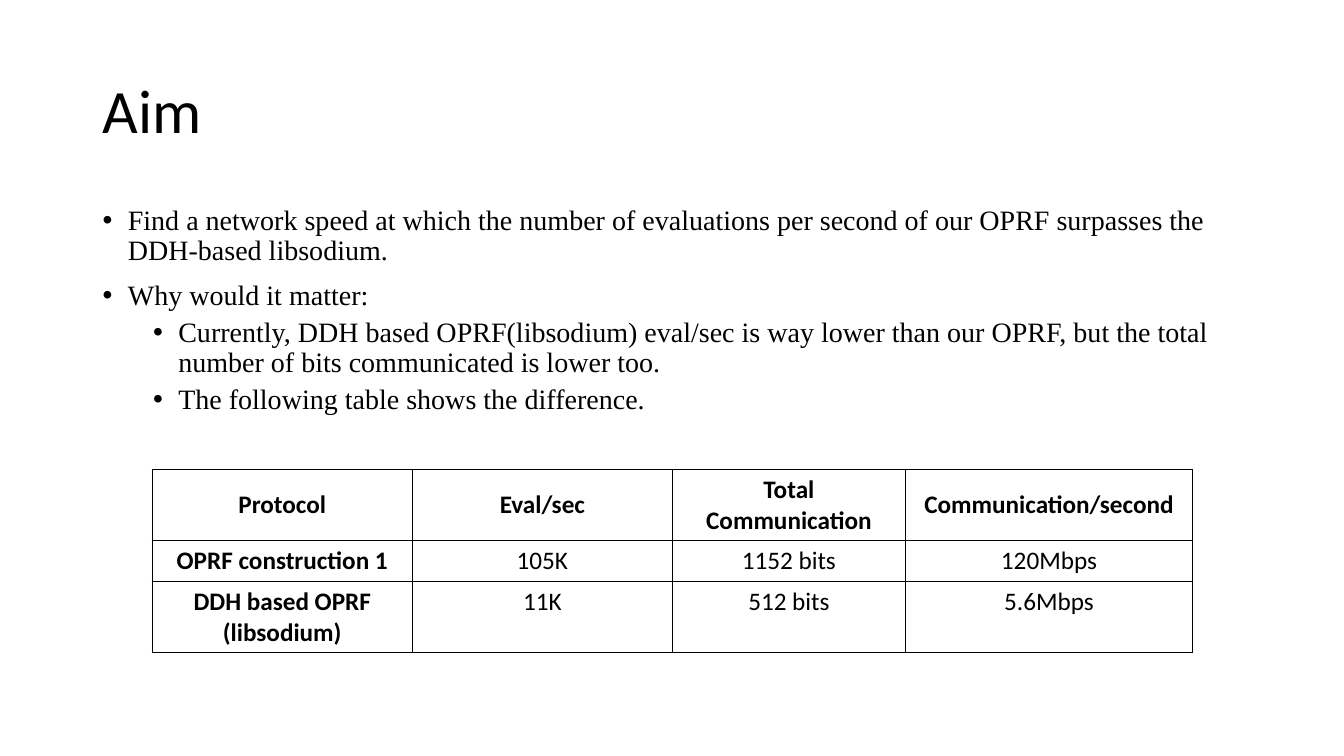
from dataclasses import dataclass

from lxml import etree
from pptx import Presentation
from pptx import util as u
from pptx.dml.color import RGBColor
from pptx.enum import text
from pptx.oxml import ns
from pptx.util import Inches


@dataclass(frozen=True)
class Theme:
    """Colours, fonts and type sizes of the slide."""
    ink: str = "000000"
    sans: str = "Calibri"
    serif: str = "Times New Roman"
    title: int = 44
    body: int = 20
    cell: int = 18
    border: int = 1


THEME = Theme()

POINTS = [
    (0, "Find a network speed at which the number of evaluations per second "
        "of our OPRF surpasses the DDH-based libsodium."),
    (0, "Why would it matter:"),
    (1, "Currently, DDH based OPRF(libsodium) eval/sec is way lower than our "
        "OPRF, but the total number of bits communicated is lower too."),
    (1, "The following table shows the difference."),
]
PROTOCOLS = [
    ["Protocol", "Eval/sec", "Total Communication", "Communication/second"],
    ["OPRF construction 1", "105K", "1152 bits", "120Mbps"],
    ["DDH based OPRF (libsodium)", "11K", "512 bits", "5.6Mbps"],
]
COL_WIDTHS = [2.58, 2.58, 2.31, 2.85]
ROW_HEIGHTS = [0.7, 0.41, 0.7]


def set_attrs(obj, values):
    """Set each attribute of obj from a dict."""
    for name, value in values.items():
        setattr(obj, name, value)


def place(s, left, top, width, height):
    """Move and size a shape, in inches."""
    box = {"left": left, "top": top, "width": width, "height": height}
    set_attrs(s, {name: Inches(value) for name, value in box.items()})


def write(p, words, font, size, bold=False, **layout):
    """Write one formatted run into a paragraph."""
    set_attrs(p, layout)
    r = p.add_run()
    r.text = words
    set_attrs(r.font, {"name": font, "size": u.Pt(size), "bold": bold})
    r.font.color.rgb = RGBColor.from_string(THEME.ink)


def add_bullet(p, level):
    """Give a paragraph a hanging round bullet."""
    pPr = p._p.get_or_add_pPr()
    pPr.set("marL", str(Inches(0.25 + 0.5 * level)))
    pPr.set("indent", str(Inches(-0.25)))
    etree.SubElement(pPr, ns.qn("a:buFont"), typeface="Arial")
    etree.SubElement(pPr, ns.qn("a:buChar"), char="•")


def add_borders(cell):
    """Draw a solid line on all four sides of a cell."""
    tcPr = cell._tc.get_or_add_tcPr()
    for side in ("lnL", "lnR", "lnT", "lnB"):
        ln = etree.SubElement(tcPr, ns.qn(f"a:{side}"), w=str(u.Pt(THEME.border)))
        fill = etree.SubElement(ln, ns.qn("a:solidFill"))
        etree.SubElement(fill, ns.qn("a:srgbClr"), val=THEME.ink)


def add_title(slide, words):
    """Fill the title placeholder."""
    sp = slide.shapes.title
    place(sp, 0.92, 0.4, 11.5, 1.45)
    tf = sp.text_frame
    set_attrs(tf, {"word_wrap": True, "vertical_anchor": text.MSO_ANCHOR.MIDDLE})
    write(tf.paragraphs[0], words, THEME.sans, THEME.title,
          alignment=text.PP_ALIGN.LEFT, line_spacing=0.9)


def add_points(slide, points):
    """Add the two-level bullet list."""
    sp = slide.shapes.add_textbox(0, 0, 0, 0)
    place(sp, 0.92, 2, 11.5, 2.34)
    tf = sp.text_frame
    tf.word_wrap = True
    for i, (level, words) in enumerate(points):
        p = tf.add_paragraph() if i else tf.paragraphs[0]
        write(p, words, THEME.serif, THEME.body, level=level,
              line_spacing=0.9, space_before=u.Pt(5 if level else 10))
        add_bullet(p, level)


def add_grid(slide, rows):
    """Add the bordered table with bold header row and column."""
    frame = slide.shapes.add_table(
        len(rows), len(rows[0]), Inches(1.51), Inches(4.66),
        Inches(sum(COL_WIDTHS)), Inches(sum(ROW_HEIGHTS)))
    table = frame.table
    set_attrs(table, {"first_row": False, "horz_banding": False})
    for col, width in zip(table.columns, COL_WIDTHS):
        col.width = Inches(width)
    for row, height in zip(table.rows, ROW_HEIGHTS):
        row.height = Inches(height)
    for i, row in enumerate(rows):
        for j, words in enumerate(row):
            cell = table.cell(i, j)
            add_borders(cell)
            cell.fill.background()
            cell.vertical_anchor = (
                text.MSO_ANCHOR.TOP if i else text.MSO_ANCHOR.MIDDLE)
            write(cell.text_frame.paragraphs[0], words, THEME.sans, THEME.cell,
                  bold=i == 0 or j == 0, alignment=text.PP_ALIGN.CENTER)


def main():
    """Build and save the slide."""
    prs = Presentation()
    set_attrs(prs, {"slide_width": Inches(13.33), "slide_height": Inches(7.5)})
    slide = prs.slides.add_slide(prs.slide_layouts[5])
    add_title(slide, "Aim")
    add_points(slide, POINTS)
    add_grid(slide, PROTOCOLS)
    prs.save("out.pptx")


if __name__ == "__main__":
    main()
